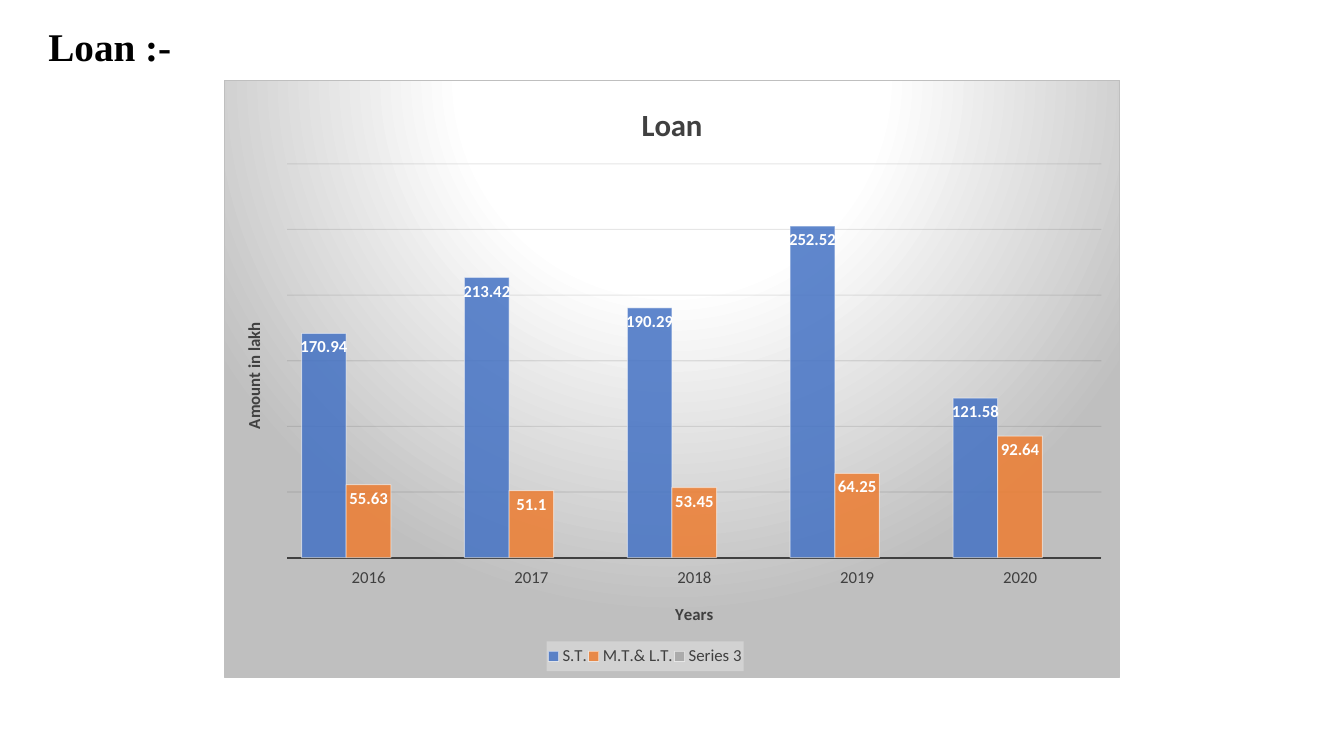
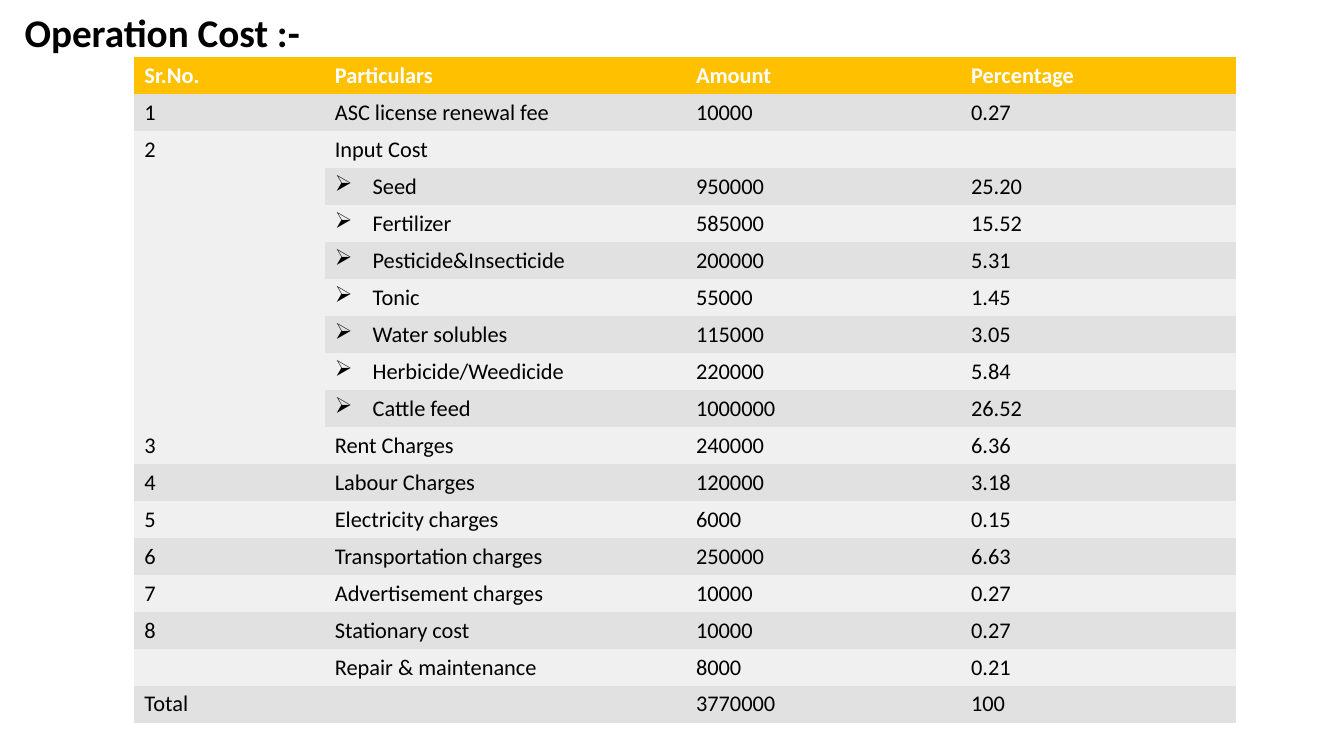
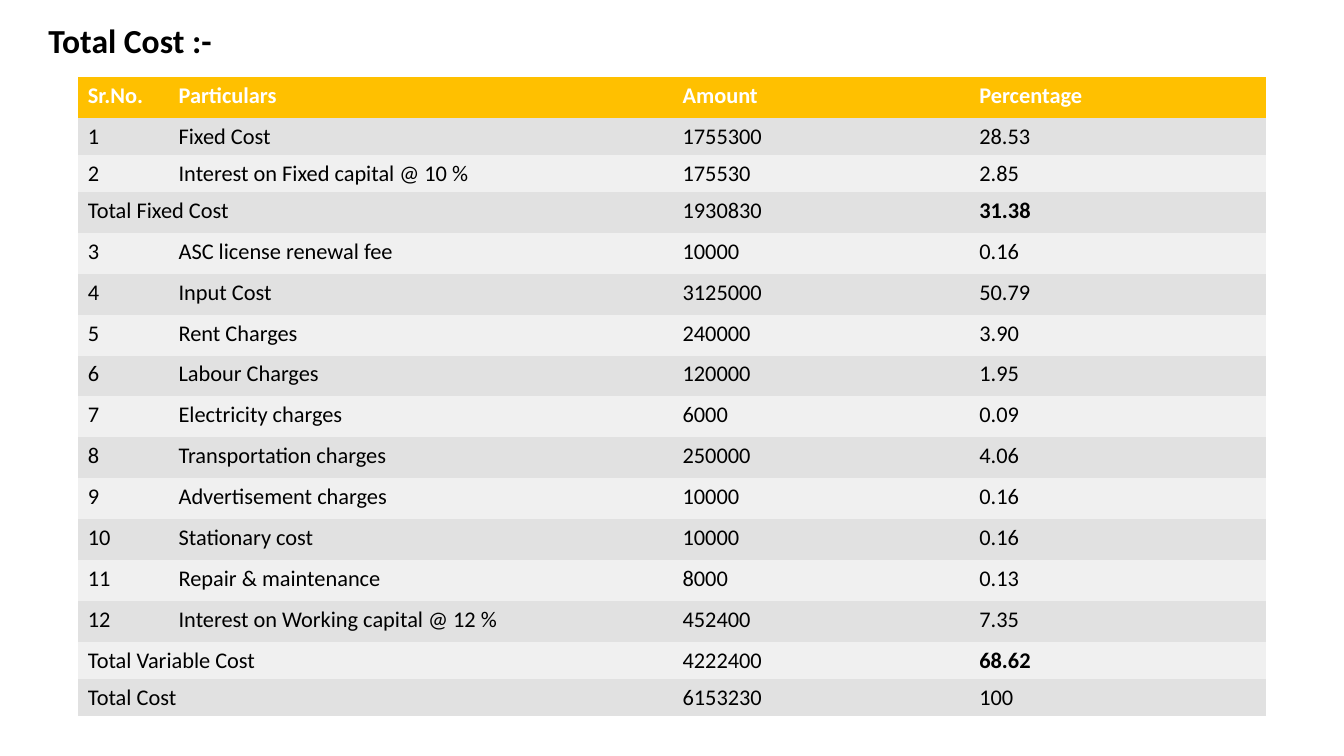
from dataclasses import dataclass

from lxml import etree
from pptx import Presentation
from pptx.chart.data import CategoryChartData
from pptx.dml.color import RGBColor
from pptx.enum.chart import XL_CHART_TYPE, XL_LABEL_POSITION, XL_LEGEND_POSITION, XL_TICK_LABEL_POSITION, XL_TICK_MARK
from pptx.oxml import parse_xml
from pptx.oxml.ns import nsdecls, qn
from pptx.util import Pt

COLUMNS = XL_CHART_TYPE.COLUMN_CLUSTERED
INSIDE_END = XL_LABEL_POSITION.INSIDE_END
LEGEND_BOTTOM = XL_LEGEND_POSITION.BOTTOM
LABELS_LOW = XL_TICK_LABEL_POSITION.LOW
NO_TICKS = XL_TICK_MARK.NONE
NO_TABLE_STYLE = "{2D5ABB26-0587-4C30-8999-92F81FD0307C}"


@dataclass(frozen=True)
class Theme:
    font: str = "Calibri"
    serif: str = "Times New Roman"
    black: str = "000000"
    white: str = "FFFFFF"
    header: str = "FFC000"
    bands: tuple = ("F0F0F0", "E1E1E1")
    series: tuple = ("4472C4", "ED7D31", "A5A5A5")
    chart_text: str = "404040"
    chart_edge: str = "BFBFBF"
    grid: str = "0D0D0D"
    legend: str = "F2F2F2"
    title_size: int = 28
    small_title_size: int = 24
    chart_title_size: int = 22
    table_size: int = 16
    chart_size: int = 12


theme = Theme()


def write(paragraph, text, size=theme.table_size, color=theme.black, bold=False, font=theme.font):
    """Put formatted text in a paragraph; an empty one only keeps its size."""
    if not text:
        etree.SubElement(paragraph._p, qn("a:endParaRPr"), sz=str(size * 100))
        return
    run = paragraph.add_run()
    run.text = text
    run.font.name = font
    run.font.size = Pt(size)
    run.font.bold = bold
    run.font.color.rgb = RGBColor.from_string(color)


def set_opacity(element, *percents):
    """Give the colours inside an element their opacity, in order."""
    for color, percent in zip(element.iter(qn("a:srgbClr")), percents):
        etree.SubElement(color, qn("a:alpha"), val=str(percent * 1000))


presentation = Presentation()
presentation.slide_width = Pt(960)
presentation.slide_height = Pt(540)

# Slides and their titles: text, box, line spacing, format
titles = [
    ("Loan :-", (27.5, 16.5, 867, 466.5), 0.9, {"size": theme.title_size, "font": theme.serif}),
    ("Operation Cost :-", (10.5, 6.5, 883.5, 478), 0.9, {"size": theme.title_size}),
    ("Total Cost :-", (27.5, 11, 480, 36), 1.0, {"size": theme.small_title_size}),
]
slides = []
for text, box, spacing, text_format in titles:
    slide = presentation.slides.add_slide(presentation.slide_layouts[6])
    text_frame = slide.shapes.add_textbox(*map(Pt, box)).text_frame
    text_frame.word_wrap = True
    paragraph = text_frame.paragraphs[0]
    paragraph.line_spacing = spacing
    write(paragraph, text, bold=True, **text_format)
    slides.append(slide)
loan_slide, operation_slide, total_slide = slides

# Loan chart: data and text
loan_data = CategoryChartData()
loan_data.categories = ["2016", "2017", "2018", "2019", "2020"]
loan_data.add_series("S.T.", (170.94, 213.42, 190.29, 252.52, 121.58))
loan_data.add_series("M.T.& L.T.", (55.63, 51.1, 53.45, 64.25, 92.64))
loan_data.add_series("Series 3", (None,) * 5)
chart = loan_slide.shapes.add_chart(COLUMNS, Pt(160), Pt(57), Pt(640), Pt(427), loan_data).chart
chart.font.name = theme.font
chart.font.size = Pt(theme.chart_size)
chart.font.color.rgb = RGBColor.from_string(theme.chart_text)
chart.has_title = True
chart.chart_title.include_in_layout = False
axis_title_size = theme.chart_size
for titled, text, size in [
    (chart.chart_title, "Loan", theme.chart_title_size),
    (chart.category_axis.axis_title, "Years", axis_title_size),
    (chart.value_axis.axis_title, "Amount in lakh", axis_title_size),
]:
    write(titled.text_frame.paragraphs[0], text, size=size, color=theme.chart_text, bold=True)

# Loan chart: axes
category_axis, value_axis = chart.category_axis, chart.value_axis
category_axis.major_tick_mark = NO_TICKS
category_axis.tick_label_position = LABELS_LOW
category_axis.format.line.color.rgb = RGBColor.from_string(theme.chart_text)
category_axis.format.line.width = Pt(1.5)
value_axis.minimum_scale, value_axis.maximum_scale, value_axis.major_unit = 0, 300, 50
value_axis.visible = False
value_axis.axis_title.text_frame._txBody.bodyPr.set("rot", "-5400000")
grid_line = value_axis.major_gridlines.format.line
grid_line.color.rgb = RGBColor.from_string(theme.grid)
grid_line.width = Pt(0.75)
set_opacity(value_axis._element.find(qn("c:majorGridlines")), 10)

# Loan chart: columns and their labels
plot = chart.plots[0]
plot.gap_width = 65
plot.overlap = 0
plot.vary_by_categories = False
for series, color in zip(plot.series, theme.series):
    series.invert_if_negative = False
    series.format.fill.solid()
    series.format.fill.fore_color.rgb = RGBColor.from_string(color)
    series.format.line.color.rgb = RGBColor.from_string(theme.white)
    series.format.line.width = Pt(0.75)
    set_opacity(series._element.find(qn("c:spPr")), 85, 50)
    labels = series.data_labels
    labels.show_value = True
    labels.position = INSIDE_END
    labels.font.name = theme.font
    labels.font.size = Pt(theme.chart_size)
    labels.font.bold = True
    labels.font.color.rgb = RGBColor.from_string(theme.white)

# Loan chart: legend, placement and background
chart.has_legend = True
chart.legend.position = LEGEND_BOTTOM
chart.legend.include_in_layout = False
chart.legend.font.name = theme.font
chart.legend.font.size = Pt(theme.chart_size)
chart.legend.font.color.rgb = RGBColor.from_string(theme.chart_text)
legend = chart.legend._element
legend_fill = parse_xml(
    f'<c:spPr {nsdecls("c", "a")}><a:solidFill><a:srgbClr val="{theme.legend}"/></a:solidFill></c:spPr>')
set_opacity(legend_fill, 39)
legend.find(qn("c:txPr")).addprevious(legend_fill)

plot_area = chart._chartSpace.find(qn("c:chart")).find(qn("c:plotArea"))
for parent, position, target, (x, y, width, height) in [
    (plot_area, 0, '<c:layoutTarget val="inner"/>', (0.07, 0.14, 0.91, 0.66)),
    (legend, 1, "", (0.36, 0.94, 0.22, 0.05)),
]:
    for layout in parent.findall(qn("c:layout")):
        parent.remove(layout)
    parent.insert(position, parse_xml(
        f'<c:layout {nsdecls("c")}><c:manualLayout>{target}'
        f'<c:xMode val="edge"/><c:yMode val="edge"/><c:x val="{x}"/><c:y val="{y}"/>'
        f'<c:w val="{width}"/><c:h val="{height}"/></c:manualLayout></c:layout>'))

stops = "".join(
    f'<a:gs pos="{percent * 1000}"><a:srgbClr val="{color}"/></a:gs>'
    for percent, color in [(0, theme.white), (39, theme.white), (100, theme.chart_edge)])
chart._chartSpace.find(qn("c:chart")).addnext(parse_xml(
    f'<c:spPr {nsdecls("c", "a")}><a:gradFill><a:gsLst>{stops}</a:gsLst><a:path path="circle">'
    '<a:fillToRect l="50000" t="-80000" r="50000" b="180000"/></a:path></a:gradFill>'
    f'<a:ln w="9525"><a:solidFill><a:srgbClr val="{theme.chart_edge}"/></a:solidFill></a:ln></c:spPr>'))

# Cost tables: contents
header = ("Sr.No.", "Particulars", "Amount", "Percentage")
operation_rows = [
    header,
    ("1", "ASC license renewal fee", "10000", "0.27"),
    ("2", "Input Cost", "", ""),
    ("", "Seed", "950000", "25.20"),
    ("", "Fertilizer", "585000", "15.52"),
    ("", "Pesticide&Insecticide", "200000", "5.31"),
    ("", "Tonic", "55000", "1.45"),
    ("", "Water solubles", "115000", "3.05"),
    ("", "Herbicide/Weedicide", "220000", "5.84"),
    ("", "Cattle feed", "1000000", "26.52"),
    ("3", "Rent Charges", "240000", "6.36"),
    ("4", "Labour Charges", "120000", "3.18"),
    ("5", "Electricity charges", "6000", "0.15"),
    ("6", "Transportation charges", "250000", "6.63"),
    ("7", "Advertisement charges", "10000", "0.27"),
    ("8", "Stationary cost", "10000", "0.27"),
    ("", "Repair & maintenance", "8000", "0.21"),
    ("Total", "", "3770000", "100"),
]
total_rows = [
    header,
    ("1", "Fixed Cost", "1755300", "28.53"),
    ("2", "Interest on Fixed capital @ 10 %", "175530", "2.85"),
    ("Total Fixed Cost", "", "1930830", "31.38"),
    ("3", "ASC license renewal fee", "10000", "0.16"),
    ("4", "Input Cost", "3125000", "50.79"),
    ("5", "Rent Charges", "240000", "3.90"),
    ("6", "Labour Charges", "120000", "1.95"),
    ("7", "Electricity charges", "6000", "0.09"),
    ("8", "Transportation charges", "250000", "4.06"),
    ("9", "Advertisement charges", "10000", "0.16"),
    ("10", "Stationary cost", "10000", "0.16"),
    ("11", "Repair & maintenance", "8000", "0.13"),
    ("12", "Interest on Working capital @ 12 %", "452400", "7.35"),
    ("Total Variable Cost", "", "4222400", "68.62"),
    ("Total Cost", "", "6153230", "100"),
]
low, high = 26.15, 29.25
input_items = range(3, 10)

# Cost tables: slide, rows, corner, column widths, row heights, merges, bulleted rows, bold cells
tables = [
    (operation_slide, operation_rows, (96, 40.6), (136, 258, 196.5, 196.5), [low] * 18,
     [((2, 0), (9, 0)), ((17, 0), (17, 1))], input_items, ()),
    (total_slide, total_rows, (55.6, 55), (64.8, 360, 212, 212),
     [high, low, low] + [high] * 11 + [low, low],
     [((row, 0), (row, 1)) for row in (3, 14, 15)], (), [(3, 3), (14, 3)]),
]
for slide, rows, (left, top), widths, heights, merges, bulleted, bold_cells in tables:
    table = slide.shapes.add_table(len(rows), len(widths), Pt(left), Pt(top),
                                   Pt(sum(widths)), Pt(sum(heights))).table
    table.horz_banding = False
    table._tbl.tblPr.find(qn("a:tableStyleId")).text = NO_TABLE_STYLE
    for column, width in zip(table.columns, widths):
        column.width = Pt(width)
    for row_index, (row, height) in enumerate(zip(rows, heights)):
        table.rows[row_index].height = Pt(height)
        is_header = row_index == 0
        for column_index, text in enumerate(row):
            cell = table.cell(row_index, column_index)
            cell.fill.solid()
            cell.fill.fore_color.rgb = RGBColor.from_string(
                theme.header if is_header else theme.bands[row_index % 2])
            paragraph = cell.text_frame.paragraphs[0]
            if row_index in bulleted and column_index == 1:
                properties = paragraph._p.get_or_add_pPr()
                properties.set("marL", str(Pt(27)))
                properties.set("indent", str(-Pt(27)))
                etree.SubElement(properties, qn("a:buChar"), char="➢")
            write(paragraph, text, color=theme.white if is_header else theme.black,
                  bold=is_header or (row_index, column_index) in bold_cells)
    for first, last in merges:
        table.cell(*first).merge(table.cell(*last))

presentation.save("out.pptx")
